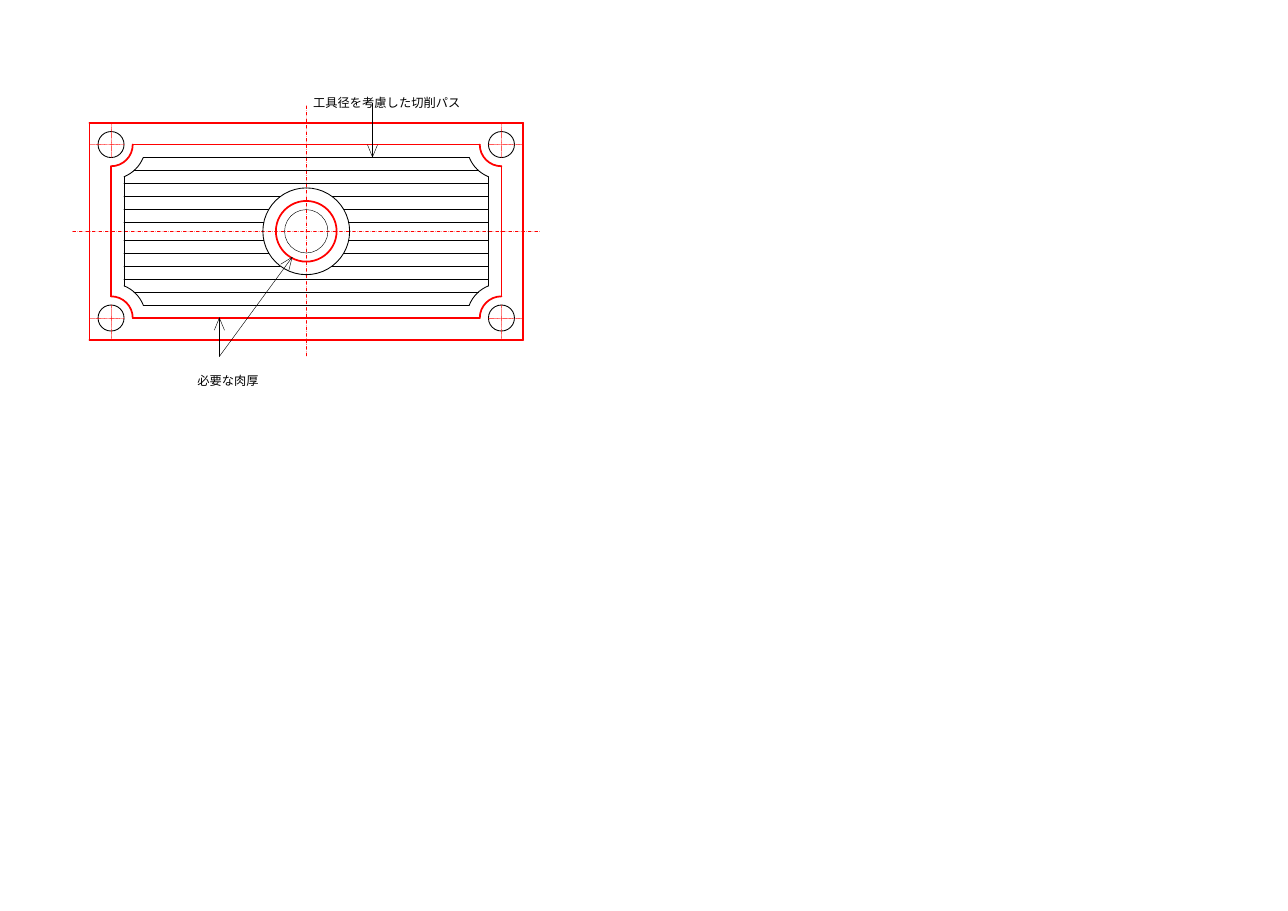
from dataclasses import dataclass
from itertools import product
from math import atan2, cos, pi, sin, sqrt, tan

from lxml.etree import SubElement
from pptx import Presentation
from pptx.dml.color import RGBColor
from pptx.enum.dml import MSO_LINE
from pptx.enum.shapes import MSO_CONNECTOR, MSO_SHAPE
from pptx.enum.text import MSO_AUTO_SIZE
from pptx.oxml.ns import qn
from pptx.util import Inches, Pt

RED, BLACK = "FF0000", "000000"
THICK, MEDIUM, THIN = 1.13, 0.57, 0.28
FONT = "Noto Sans CJK JP"
MILLIMETRE = 1 / 25.4
HOLE, WALL, TOOL, BOSS = (size * MILLIMETRE for size in (3, 5, 3, 9))
SIGNS = (-1, 1)
CORNERS = tuple(product(SIGNS, SIGNS))


@dataclass
class Box:
    """A region of the page in inches."""
    left: float
    top: float
    width: float
    height: float

    def from_center(self, across, down):
        """Return the page point at an offset from the middle of the box."""
        return self.left + self.width / 2 + across, self.top + self.height / 2 + down


def color(value):
    """Turn a hex string into a colour."""
    return RGBColor.from_string(value)


def style_line(shape, stroke, width, dash=None):
    """Set the colour, width, dash and round ends of an outline."""
    shape.line.color.rgb = color(stroke)
    shape.line.width = Pt(width)
    if dash:
        shape.line.dash_style = dash
    outline = shape._element.spPr.find(qn("a:ln"))
    outline.set("cap", "rnd")
    SubElement(outline, qn("a:round"))


def add_line(shapes, start, end, stroke=BLACK, width=MEDIUM, dash=None):
    """Draw a straight line without a shadow."""
    ends = [Inches(value) for value in (*start, *end)]
    line = shapes.add_connector(MSO_CONNECTOR.STRAIGHT, *ends)
    style_line(line, stroke, width, dash)
    SubElement(line._element.spPr, qn("a:effectLst"))


def add_circle(shapes, center, radius, stroke=BLACK, width=MEDIUM):
    """Draw an unfilled circle around a point."""
    left, top = center[0] - radius, center[1] - radius
    circle = shapes.add_shape(MSO_SHAPE.OVAL, Inches(left), Inches(top),
                              Inches(2 * radius), Inches(2 * radius))
    circle.shadow.inherit = False
    circle.fill.background()
    style_line(circle, stroke, width)


def add_outline(shapes, points, stroke=BLACK, width=MEDIUM):
    """Draw an open, unfilled outline through points."""
    places = [(Inches(across), Inches(down)) for across, down in points]
    builder = shapes.build_freeform(*places[0], scale=1.0)
    builder.add_line_segments(places[1:], close=False)
    outline = builder.convert_to_shape()
    outline.shadow.inherit = False
    outline.fill.background()
    style_line(outline, stroke, width)
    return outline


def add_arc(shapes, center, radius, middle, half, **style):
    """Draw a circular arc as one curve around its middle angle."""
    pull = 4 / 3 * tan(half / 2)
    first, last = middle - half, middle + half
    offsets = ((cos(first), sin(first)),
               (cos(first) - pull * sin(first), sin(first) + pull * cos(first)),
               (cos(last) + pull * sin(last), sin(last) - pull * cos(last)),
               (cos(last), sin(last)))
    arc = add_outline(shapes, [(center[0] + radius * across, center[1] + radius * down)
                               for across, down in offsets], **style)
    segments = list(arc._element.iter(qn("a:lnTo")))
    curve = SubElement(segments[0].getparent(), qn("a:cubicBezTo"))
    for segment in segments:
        curve.append(segment[0])
        segment.getparent().remove(segment)


def add_label(shapes, box, text, size=8, font=FONT, ink=BLACK, spacing=16):
    """Write one unwrapped line of text in a box."""
    label = shapes.add_textbox(Inches(box.left), Inches(box.top),
                               Inches(box.width), Inches(box.height))
    frame = label.text_frame
    frame.margin_left = frame.margin_right = frame.margin_top = frame.margin_bottom = 0
    frame.word_wrap = False
    frame.auto_size = MSO_AUTO_SIZE.SHAPE_TO_FIT_TEXT
    para = frame.paragraphs[0]
    para.line_spacing = Pt(spacing)
    span = para.add_run()
    span.text = text
    span.font.size = Pt(size)
    span.font.name = font
    span.font.color.rgb = color(ink)
    SubElement(span._r.get_or_add_rPr(), qn("a:ea")).set("typeface", font)


def add_arrow(page, start, end):
    """Draw a grouped leader with an open head at its end."""
    shapes = page.shapes.add_group_shape().shapes
    add_line(shapes, start, end, width=THIN)
    heading = atan2(end[1] - start[1], end[0] - start[0])
    length, spread = 0.12, 0.39
    wings = [(end[0] - length * cos(heading + turn), end[1] - length * sin(heading + turn))
             for turn in (-spread, spread)]
    add_outline(shapes, [wings[0], end, wings[1]], width=THIN)


def draw_frame(shapes, box, half_width, half_height, cut=0):
    """Draw four straight edges, shortened by the corner cut."""
    run, rise = half_width - cut, half_height - cut
    for side in SIGNS:
        level, across = side * half_height, side * half_width
        add_line(shapes, box.from_center(-run, level), box.from_center(run, level), RED, THICK)
        add_line(shapes, box.from_center(across, -rise), box.from_center(across, rise), RED, THICK)


def draw_plate(page, box):
    """Draw the plate edge, the pocket wall and the corner holes."""
    shapes = page.shapes
    across, down = box.width / 2 - WALL, box.height / 2 - WALL
    draw_frame(shapes, box, box.width / 2, box.height / 2)
    draw_frame(shapes, box, across, down, WALL)
    for right, low in CORNERS:
        center = box.from_center(right * across, low * down)
        add_circle(shapes, center, HOLE)
        add_arc(shapes, center, WALL, atan2(-low, -right), pi / 4, stroke=RED, width=THICK)
        add_line(shapes, (center[0] - right * HOLE, center[1]),
                 (center[0] + right * WALL, center[1]), RED, THIN, MSO_LINE.ROUND_DOT)
        add_line(shapes, (center[0], center[1] - low * HOLE),
                 (center[0], center[1] + low * WALL), RED, THIN, MSO_LINE.ROUND_DOT)


def draw_boss(page, box):
    """Draw the centre lines and the circles of the central boss."""
    shapes = page.shapes
    for across, down in ((2.12, 0), (0, 1.14)):
        add_line(shapes, box.from_center(-across, -down), box.from_center(across, down),
                 RED, THIN, MSO_LINE.LONG_DASH_DOT)
    for radius, stroke, width in ((WALL, BLACK, THIN), (BOSS - 2 * MILLIMETRE, RED, THICK),
                                  (BOSS + MILLIMETRE, BLACK, MEDIUM)):
        add_circle(shapes, box.from_center(0, 0), radius, stroke, width)


def draw_cutting_path(page, box):
    """Draw the tool path between the pocket corners and the boss."""
    shapes = page.shapes
    hole_across, hole_down = box.width / 2 - WALL, box.height / 2 - WALL
    across, down = hole_across - TOOL, hole_down - TOOL
    corner, clearance = WALL + TOOL, BOSS + MILLIMETRE
    notch = sqrt(corner ** 2 - TOOL ** 2)
    side = hole_down - notch
    for right in SIGNS:
        add_line(shapes, box.from_center(right * across, -side),
                 box.from_center(right * across, side))
    for right, low in CORNERS:
        add_arc(shapes, box.from_center(right * hole_across, low * hole_down),
                corner, atan2(-low, -right), pi / 4 - atan2(TOOL, notch))
    for index, low in product(range(6), SIGNS):
        level = down - index * TOOL
        reach = across
        if level > side:
            reach = hole_across - sqrt(corner ** 2 - (hole_down - level) ** 2)
        if level > clearance:
            add_line(shapes, box.from_center(-reach, low * level),
                     box.from_center(reach, low * level))
            continue
        gap = sqrt(clearance ** 2 - level ** 2)
        for right in SIGNS:
            add_line(shapes, box.from_center(right * gap, low * level),
                     box.from_center(right * reach, low * level))


def draw_notes(page, box):
    """Place the two notes and their leaders around the plate."""
    left, top = box.left, box.top
    add_label(page.shapes, Box(left + 0.98, top + 2.18, 0.6, 0.17), "必要な肉厚")
    add_label(page.shapes, Box(left + 2.03, top - 0.34, 1.45, 0.17), "工具径を考慮した切削パス")
    foot = (left + 1.18, top + 2.12)
    add_arrow(page, foot, (foot[0], top + 1.77))
    add_arrow(page, foot, (left + 1.84, top + 1.22))
    add_arrow(page, (left + 2.57, top - 0.18), (left + 2.57, top + 0.31))


deck = Presentation()
deck.slide_width, deck.slide_height = Inches(11.69), Inches(8.27)
page = deck.slides.add_slide(deck.slide_layouts[6])
width, height = 100 * MILLIMETRE, 50 * MILLIMETRE
plate = Box(2.78 - width / 2, 2.1 - height / 2, width, height)
draw_plate(page, plate)
draw_boss(page, plate)
draw_cutting_path(page, plate)
draw_notes(page, plate)
deck.save("out.pptx")
